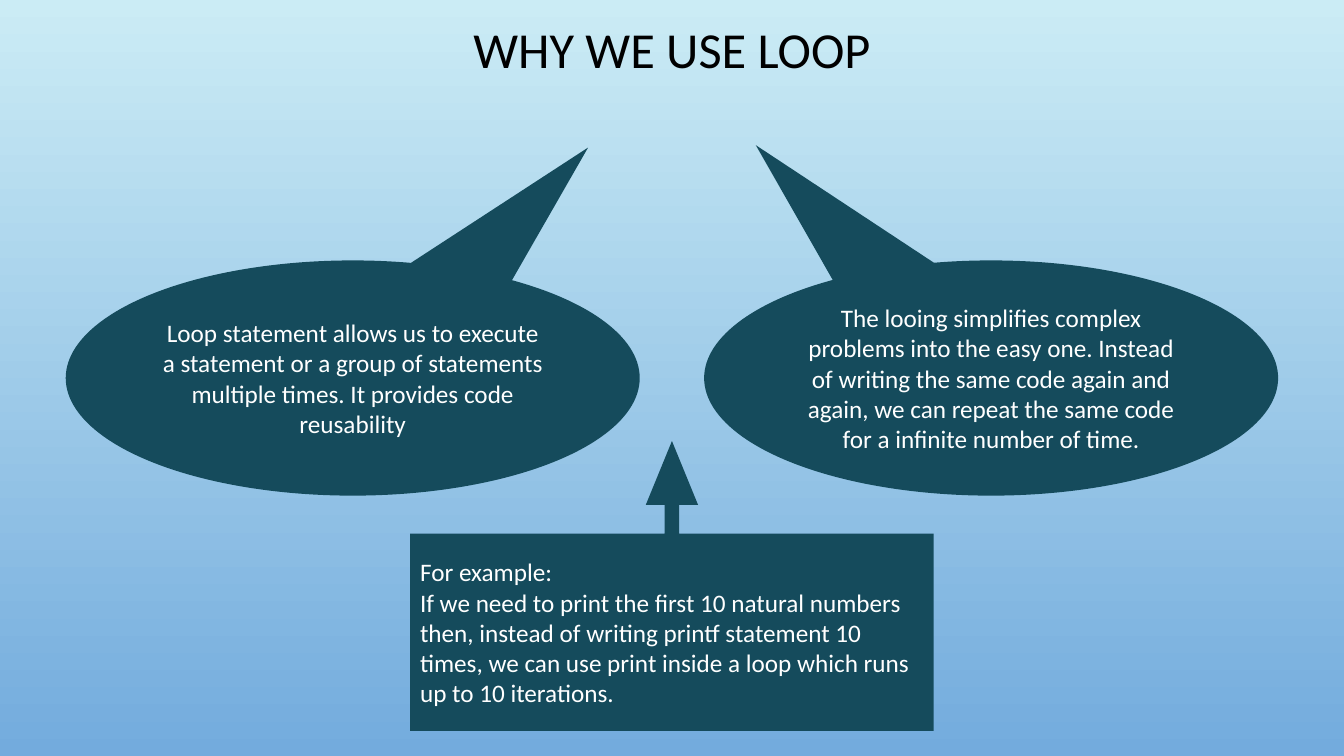
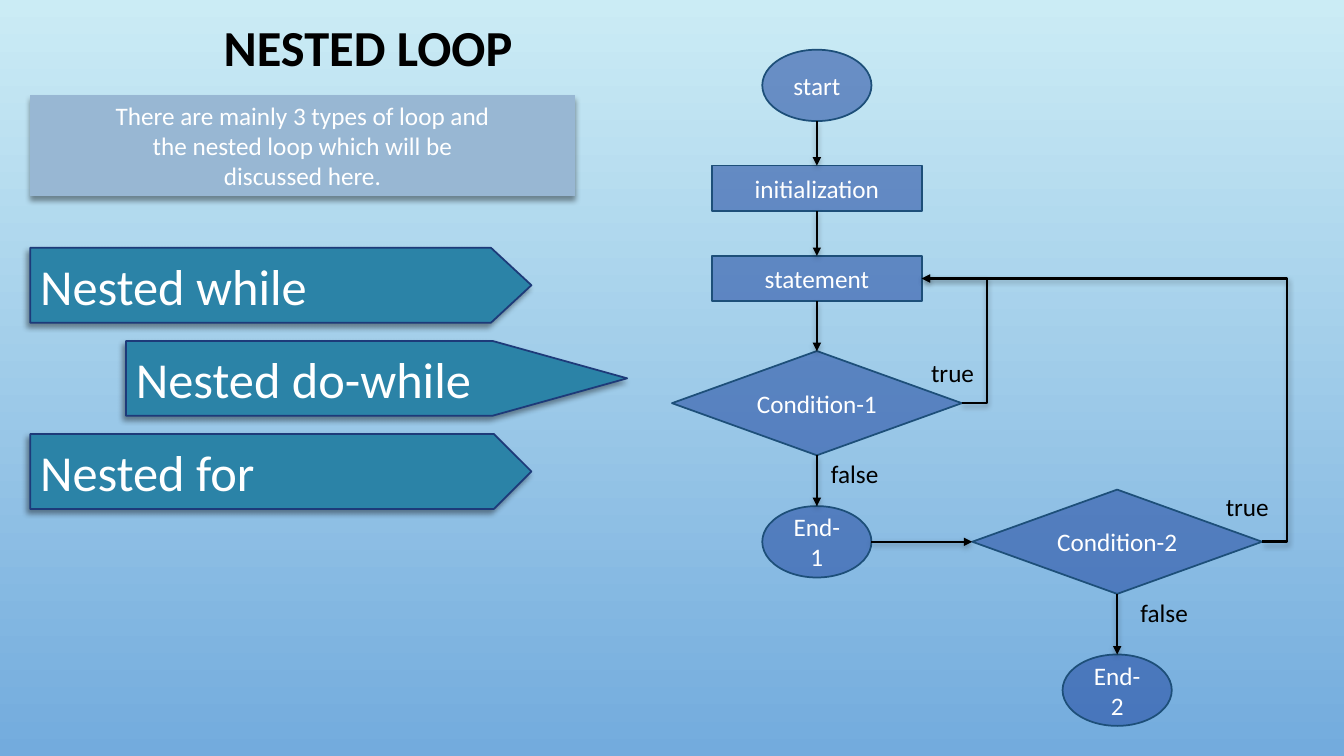
from pptx import Presentation
from pptx.dml.color import RGBColor
from pptx.enum import shapes, text
from pptx.oxml import parse_xml
from pptx.oxml.ns import nsdecls, qn
from pptx.util import Pt
from lxml import etree

color = RGBColor.from_string
KIND = shapes.MSO_SHAPE
CENTER, LEFT = text.PP_ALIGN.CENTER, text.PP_ALIGN.LEFT
MIDDLE, TOP = text.MSO_ANCHOR.MIDDLE, text.MSO_ANCHOR.TOP

WHITE, BLACK = "FFFFFF", "000000"
SKY = ["CBECF5", "73ABDD"]
PETROL = "154B5C"
BANNER, BANNER_EDGE = "2B83A7", "1D3A79"
INTRO = "98B7D3"
NODE, NODE_EDGE = "274FA4", "1D4F79"


def write(shape, content, size=18, ink=WHITE, bold=False, align=CENTER,
          anchor=MIDDLE, wrap=True, spacing=None):
    frame = shape.text_frame
    frame.word_wrap = wrap
    frame.vertical_anchor = anchor
    frame.text = content
    for paragraph in frame.paragraphs:
        paragraph.alignment = align
        paragraph.line_spacing = spacing
        font = paragraph.runs[0].font
        font.name, font.size, font.bold = "Calibri", Pt(size), bold
        font.color.rgb = color(ink)


def cast_shadow(shape, alpha, distance, angle):
    shape._element.spPr.append(parse_xml(
        f'<a:effectLst {nsdecls("a")}><a:outerShdw blurRad="{Pt(4)}" '
        f'dist="{Pt(distance)}" dir="{angle * 60000}" rotWithShape="0">'
        f'<a:srgbClr val="{BLACK}"><a:alpha val="{alpha * 1000}"/>'
        '</a:srgbClr></a:outerShdw></a:effectLst>'))


deck = Presentation()
deck.slide_width, deck.slide_height = Pt(960), Pt(540)

# Both slides: sky background and title
titles = [("WHY WE USE LOOP", 144, 672, 75, False),
          ("NESTED LOOP", 14.4, 497, 72, True)]
for heading, left, width, height, bold in titles:
    slide = deck.slides.add_slide(deck.slide_layouts[6])
    sky = slide.background.fill
    sky.gradient()
    sky.gradient_angle = 270
    for stop, shade in zip(sky.gradient_stops, SKY):
        stop.color.rgb = color(shade)
    title = slide.shapes.add_textbox(Pt(left), 0, Pt(width), Pt(height))
    write(title, heading, size=36, ink=BLACK, bold=bold, spacing=0.9)
why, nested = deck.slides

# Slide 1: two reasons and an example
reuse = ("Loop statement allows us to execute a statement or a group of "
         "statements multiple times. It provides code reusability")
simplify = ("The looing simplifies complex problems into the easy one. "
            "Instead of writing the same code again and again, we can repeat "
            "the same code for a infinite number of time.")
example = ("For example:\nIf we need to print the first 10 natural numbers "
           "then, instead of writing printf statement 10 times, we can use "
           "print inside a loop which runs up to 10 iterations.")
reason_kind = KIND.OVAL_CALLOUT
callouts = [
    (reason_kind, 47, 186, 410, 168, [0.41, -0.98], reuse, CENTER),
    (reason_kind, 503, 186, 410, 168, [-0.41, -0.99], simplify, CENTER),
    (KIND.UP_ARROW_CALLOUT, 293, 315, 374, 207,
     [0.05, 0.09, 0.22, 0.68], example, LEFT),
]
for kind, left, top, width, height, adjustments, message, align in callouts:
    callout = why.shapes.add_shape(kind, Pt(left), Pt(top), Pt(width), Pt(height))
    callout.shadow.inherit = False
    callout.fill.solid()
    callout.fill.fore_color.rgb = color(PETROL)
    callout.line.fill.background()
    for index, value in enumerate(adjustments):
        callout.adjustments[index] = value
    write(callout, message, align=align)

# Slide 2: banners of the loop types
banners = [("Nested while", 21.6, 0.54), ("Nested do-while", 90, 1.8),
           ("Nested for", 21.6, 0.5)]
for row, (loop_type, left, point) in enumerate(banners):
    banner = nested.shapes.add_shape(
        KIND.PENTAGON, Pt(left), Pt(177 + 66.5 * row), Pt(358), Pt(53.5))
    banner.adjustments[0] = point
    banner.fill.solid()
    banner.fill.fore_color.rgb = color(BANNER)
    banner.line.color.rgb = color(BANNER_EDGE)
    banner.line.width = Pt(1.25)
    cast_shadow(banner, 40, 3, 135)
    write(banner, loop_type, size=36, align=LEFT)

# Introduction
intro = nested.shapes.add_shape(
    KIND.FLOWCHART_PREDEFINED_PROCESS, Pt(21.6), Pt(68), Pt(389), Pt(72))
intro.fill.solid()
intro.fill.fore_color.rgb = color(INTRO)
intro.line.fill.background()
cast_shadow(intro, 40, 3, 90)
write(intro, "There are mainly 3 types of loop and the nested loop which "
             "will be discussed here.")

# Flowchart nodes, placed by their centres
sizes = {KIND.OVAL: (78, 51), KIND.RECTANGLE: (150, 32.5),
         KIND.FLOWCHART_DECISION: (207, 74.5)}
outer_x, inner_x = 583.5, 798
nodes = [
    ("start", KIND.OVAL, outer_x, 61),
    ("initialization", KIND.RECTANGLE, outer_x, 134.5),
    ("statement", KIND.RECTANGLE, outer_x, 199),
    ("Condition-1", KIND.FLOWCHART_DECISION, outer_x, 288),
    ("End-1", KIND.OVAL, outer_x, 387),
    ("Condition-2", KIND.FLOWCHART_DECISION, inner_x, 387),
    ("End-2", KIND.OVAL, inner_x, 493),
]
ports = {}
for step, kind, x, y in nodes:
    width, height = sizes[kind]
    ports[step] = {"top": (x, y - height / 2), "bottom": (x, y + height / 2),
                   "left": (x - width / 2, y), "right": (x + width / 2, y)}
    node = nested.shapes.add_shape(
        kind, Pt(x - width / 2), Pt(y - height / 2), Pt(width), Pt(height))
    node.shadow.inherit = False
    node.fill.solid()
    node.fill.fore_color.rgb = color(NODE)
    tint = node._element.spPr.find(qn("a:solidFill"))[0]
    etree.SubElement(tint, qn("a:alpha")).set("val", "58000")
    node.line.color.rgb = color(NODE_EDGE)
    node.line.width = Pt(1.25)
    write(node, step)

# Arrows; those that loop back swing out to the right before turning
swing = 18
arrows = [
    ("start", "bottom", "initialization", "top"),
    ("initialization", "bottom", "statement", "top"),
    ("statement", "bottom", "Condition-1", "top"),
    ("Condition-1", "bottom", "End-1", "top"),
    ("End-1", "right", "Condition-2", "left"),
    ("Condition-2", "bottom", "End-2", "top"),
    ("Condition-2", "right", "statement", "right"),
    ("Condition-1", "right", "statement", "right"),
]
for source, exit_side, target, entry_side in arrows:
    x1, y1 = ports[source][exit_side]
    x2, y2 = ports[target][entry_side]
    loops_back = exit_side == entry_side
    route = shapes.MSO_CONNECTOR.ELBOW if loops_back else shapes.MSO_CONNECTOR.STRAIGHT
    arrow = nested.shapes.add_connector(route, Pt(x1), Pt(y1), Pt(x2), Pt(y2))
    arrow.line.color.rgb = color(BLACK)
    arrow.line.width = Pt(1.75)
    etree.SubElement(arrow.line._get_or_add_ln(), qn("a:tailEnd")).set("type", "triangle")
    cast_shadow(arrow, 28, 2, 90)
    if loops_back:
        bend = round(-swing / (x1 - x2) * 100000)
        guides = arrow._element.spPr.find(qn("a:prstGeom")).get_or_add_avLst()
        guide = etree.SubElement(guides, qn("a:gd"))
        guide.set("name", "adj1")
        guide.set("fmla", f"val {bend}")

# Branch labels
branches = [("false", 586.5, 323.5), ("false", 807.5, 423),
            ("true", 658, 251.5), ("true", 868.5, 347.5)]
for answer, left, top in branches:
    branch = nested.shapes.add_textbox(Pt(left), Pt(top), Pt(52), Pt(29))
    write(branch, answer, ink=BLACK, align=LEFT, anchor=TOP, wrap=False)

deck.save("out.pptx")
